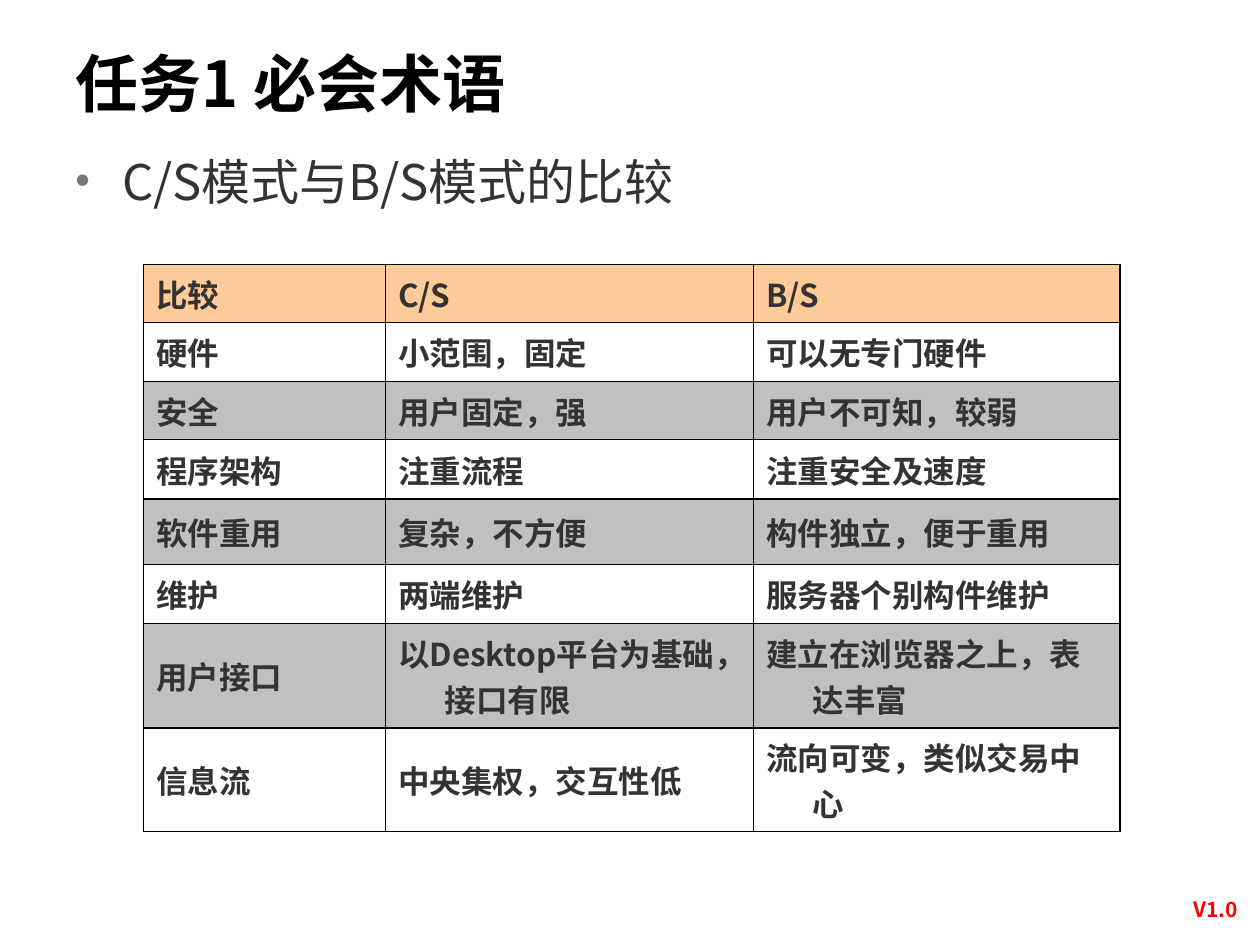
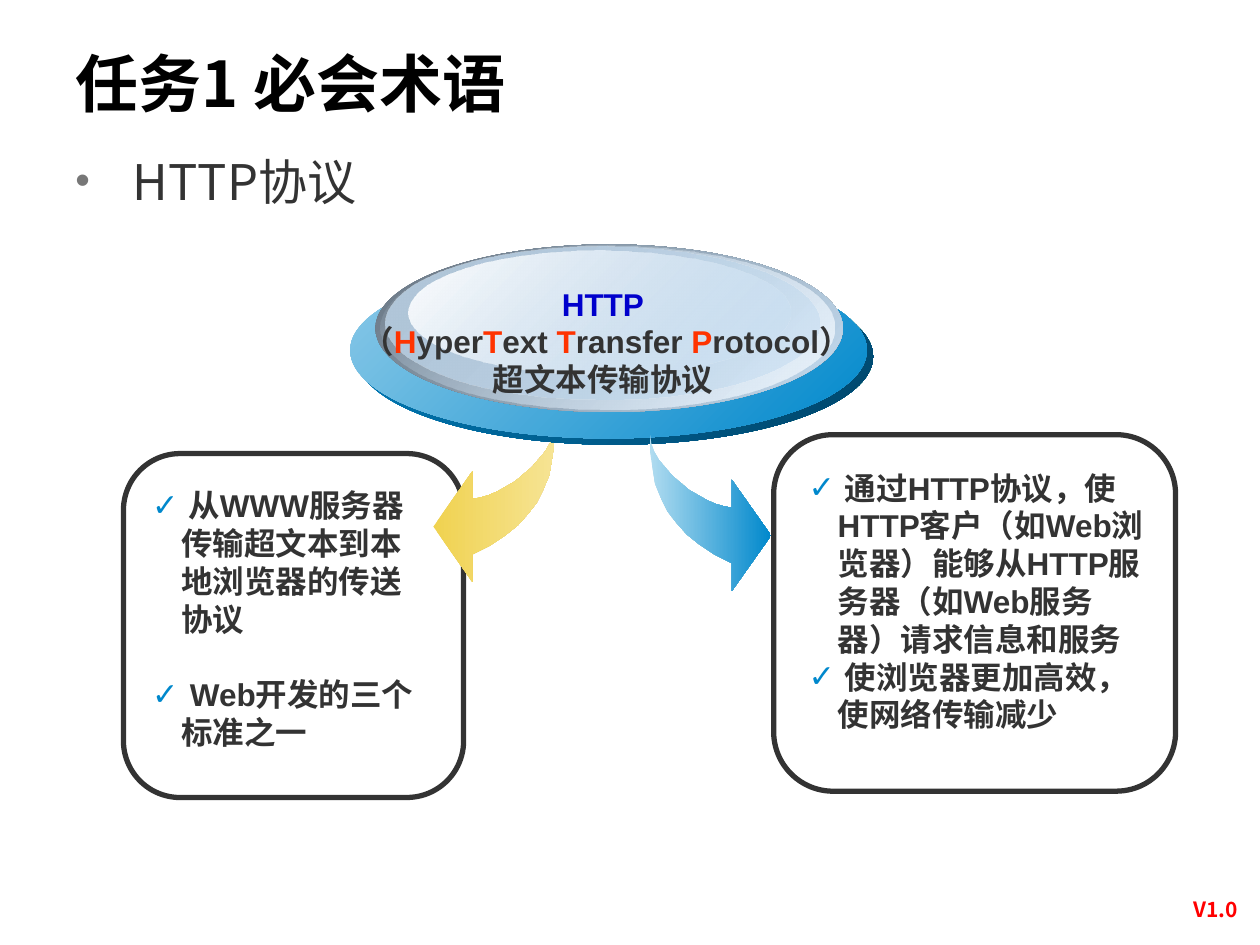
"""Build two slides on web terms: a C/S versus B/S table and an HTTP diagram."""
from lxml.etree import SubElement
from pptx import Presentation
from pptx.dml.color import RGBColor
from pptx.enum.shapes import MSO_SHAPE
from pptx.enum.text import MSO_ANCHOR, MSO_AUTO_SIZE, PP_ALIGN
from pptx.oxml.ns import qn
from pptx.util import Inches, Pt

BLACK = RGBColor(0x00, 0x00, 0x00)
WHITE = RGBColor(0xFF, 0xFF, 0xFF)
INK = RGBColor(0x33, 0x33, 0x33)
GRAY = RGBColor(0x77, 0x77, 0x77)
RED = RGBColor(0xFF, 0x00, 0x00)
ORANGE_RED = RGBColor(0xFF, 0x33, 0x00)
NAVY = RGBColor(0x00, 0x00, 0xCC)
BLUE = RGBColor(0x00, 0x88, 0xCC)
RIM_BLUE = RGBColor(0x00, 0x80, 0xC0)
DEEP_BLUE = RGBColor(0x00, 0x44, 0x68)
SOFT_BLUE = RGBColor(0x8C, 0xCA, 0xE8)
ICE = RGBColor(0xC6, 0xDE, 0xF3)
PALE_ICE = RGBColor(0xED, 0xF4, 0xFB)
STEEL = RGBColor(0x66, 0x73, 0x80)
MIST = RGBColor(0xB3, 0xC9, 0xDC)
TAIL_BLUE = RGBColor(0xB0, 0xDC, 0xF0)
GOLD = RGBColor(0xF0, 0xD2, 0x50)
PALE_GOLD = RGBColor(0xF6, 0xE4, 0x94)
HEADER_FILL = RGBColor(0xFF, 0xCC, 0x99)
BAND_FILL = RGBColor(0xC0, 0xC0, 0xC0)

CJK = "Noto Sans CJK SC"
TITLE_FORMAT = {"name": CJK, "size": Pt(36), "bold": True, "color": BLACK}
TOPIC_FORMAT = {"name": CJK, "size": Pt(28), "bold": False, "color": INK}
CELL_FORMAT = {"name": CJK, "size": Pt(18), "bold": True, "color": INK}
VERSION_FORMAT = {"name": CJK, "size": Pt(12), "bold": True, "color": RED}
CARD_FORMAT = {"name": "Arial", "size": Pt(18), "bold": True, "color": INK}

TITLE = "任务1 必会术语"
VERSION = "V1.0"
TITLE_AREA = (0.5, 0.27, 7.97, 0.77)
TOPIC_AREA = (0.5, 1.15, 8.91, 0.7)
VERSION_AREA = (9.25, 7.07, 0.8, 0.3)
HANGING = (0.37, -0.37)
CARD_INDENT = (0.5, -0.23)

TABLE_ORIGIN = (1.14, 2.1)
COLUMNS = (1.92, 2.92, 2.91)
ROWS = (0.46, 0.47, 0.46, 0.47, 0.52, 0.47, 0.83, 0.82)
COMPARISON = [
    ("比较", "C/S", "B/S"),
    ("硬件", "小范围，固定", "可以无专门硬件"),
    ("安全", "用户固定，强", "用户不可知，较弱"),
    ("程序架构", "注重流程", "注重安全及速度"),
    ("软件重用", "复杂，不方便", "构件独立，便于重用"),
    ("维护", "两端维护", "服务器个别构件维护"),
    ("用户接口", "以Desktop平台为基础，接口有限", "建立在浏览器之上，表达丰富"),
    ("信息流", "中央集权，交互性低", "流向可变，类似交易中心"),
]

LEFT_CARD = {
    "frame": (0.98, 3.6, 2.7, 2.73),
    "text": (0.84, 3.81, 2.66, 2.22),
    "gap": Pt(21.6),
    "points": [" 从WWW服务器传输超文本到本地浏览器的传送协议", " Web开发的三个标准之一"],
    "arrow": (4.4, 3.38, -1),
    "colors": (GOLD, PALE_GOLD),
}
RIGHT_CARD = {
    "frame": (6.14, 3.45, 3.19, 2.83),
    "text": (6.05, 3.67, 3.14, 2.22),
    "gap": Pt(0),
    "points": [
        " 通过HTTP协议，使HTTP客户（如Web浏览器）能够从HTTP服务器（如Web服务器）请求信息和服务",
        " 使浏览器更加高效，使网络传输减少",
    ],
    "arrow": (5.16, 3.45, 1),
    "colors": (TAIL_BLUE, BLUE),
}
ARROW_OUTLINE = [
    (0, 0.14), (0.02, 0.27), (0.04, 0.39), (0.09, 0.51), (0.14, 0.61), (0.21, 0.7),
    (0.29, 0.79), (0.39, 0.87), (0.51, 0.95), (0.65, 1.02), (0.65, 1.24), (0.96, 0.8),
    (0.65, 0.36), (0.65, 0.58), (0.59, 0.57), (0.52, 0.55), (0.45, 0.52), (0.38, 0.48),
    (0.31, 0.44), (0.24, 0.38), (0.18, 0.33), (0.12, 0.26), (0.07, 0.2), (0.03, 0.13),
    (0.01, 0.07),
]
ELLIPSES = [
    ((2.83, 2.13, 4.1, 1.4), (RIM_BLUE, DEEP_BLUE), (100, 100)),
    ((2.78, 2.08, 4.1, 1.4), (SOFT_BLUE, BLUE), (100, 100)),
    ((2.98, 1.94, 3.71, 1.33), (STEEL, ICE), (100, 100)),
    ((3.02, 1.95, 3.6, 1.3), (ICE, PALE_ICE), (0, 100)),
    ((3.06, 1.96, 3.44, 1.21), (MIST, ICE), (100, 48)),
    ((3.24, 1.99, 3.03, 0.98), (WHITE, ICE), (100, 38)),
]
EMBLEM_AREA = (2.21, 2.21, 5.15, 0.91)
EMBLEM_LINES = [
    [("HTTP", NAVY)],
    [(" （", INK), ("H", ORANGE_RED), ("yper", INK), ("T", ORANGE_RED), ("ext ", INK),
     ("T", ORANGE_RED), ("ransfer ", INK), ("P", ORANGE_RED), ("rotocol）", INK)],
    [("超文本传输协议", INK)],
]


def inches(values):
    return [Inches(value) for value in values]


def add_span(para, text, style):
    span = para.add_run()
    span.text = text
    for key, value in style.items():
        if key == "color":
            span.font.color.rgb = value
        else:
            setattr(span.font, key, value)
    SubElement(span.font._element, qn("a:ea"), typeface=CJK)


def indent(para, margin, first):
    properties = para._p.get_or_add_pPr()
    properties.set("marL", str(Inches(margin)))
    properties.set("indent", str(Inches(first)))
    return properties


def add_bullet(para, mark, color, share, margins):
    properties = indent(para, *margins)
    SubElement(SubElement(properties, qn("a:buClr")), qn("a:srgbClr"), val=str(color))
    SubElement(properties, qn("a:buSzPct"), val=str(share * 1000))
    SubElement(properties, qn("a:buFont"), typeface="Arial")
    SubElement(properties, qn("a:buChar"), char=mark)


def add_text_box(page, area):
    frame = page.shapes.add_textbox(*inches(area)).text_frame
    frame.word_wrap = True
    return frame


def add_paragraph(frame, number):
    return frame.add_paragraph() if number else frame.paragraphs[0]


def paint_gradient(shape, colors, angle, opacities=(100, 100)):
    shape.shadow.inherit = False
    shape.line.fill.background()
    shape.fill.gradient()
    shape.fill.gradient_angle = angle
    for stop, color, opacity in zip(shape.fill.gradient_stops, colors, opacities):
        stop.color.rgb = color
        if opacity < 100:
            tone = stop._gs.find(qn("a:srgbClr"))
            SubElement(tone, qn("a:alpha"), val=str(opacity * 1000))


def add_page(deck, topic):
    page = deck.slides.add_slide(deck.slide_layouts[5])
    title = page.shapes.title
    title.left, title.top, title.width, title.height = inches(TITLE_AREA)
    frame = title.text_frame
    frame.auto_size = MSO_AUTO_SIZE.NONE
    frame.vertical_anchor = MSO_ANCHOR.MIDDLE
    frame.paragraphs[0].alignment = PP_ALIGN.LEFT
    add_span(frame.paragraphs[0], TITLE, TITLE_FORMAT)

    para = add_text_box(page, TOPIC_AREA).paragraphs[0]
    add_bullet(para, "•", GRAY, 85, HANGING)
    add_span(para, topic, TOPIC_FORMAT)

    para = add_text_box(page, VERSION_AREA).paragraphs[0]
    para.alignment = PP_ALIGN.CENTER
    add_span(para, VERSION, VERSION_FORMAT)
    return page


def add_borders(cell):
    properties = cell._tc.get_or_add_tcPr()
    for side in ("lnL", "lnR", "lnT", "lnB"):
        line = SubElement(properties, qn(f"a:{side}"), w=str(Pt(1)))
        SubElement(SubElement(line, qn("a:solidFill")), qn("a:srgbClr"), val=str(BLACK))


def fill_cell(cell, text, row):
    cell.vertical_anchor = MSO_ANCHOR.MIDDLE
    add_borders(cell)
    if row % 2:
        cell.fill.background()
    else:
        cell.fill.solid()
        cell.fill.fore_color.rgb = BAND_FILL if row else HEADER_FILL
    para = cell.text_frame.paragraphs[0]
    indent(para, *HANGING)
    add_span(para, text, CELL_FORMAT)


def add_comparison(page):
    area = inches((*TABLE_ORIGIN, sum(COLUMNS), sum(ROWS)))
    table = page.shapes.add_table(len(ROWS), len(COLUMNS), *area).table
    for column, width in zip(table.columns, COLUMNS):
        column.width = Inches(width)
    for number, (row, height) in enumerate(zip(table.rows, ROWS)):
        row.height = Inches(height)
        for cell, text in zip(row.cells, COMPARISON[number]):
            fill_cell(cell, text, number)


def add_arrow(page, tail, colors):
    left, top, direction = tail
    builder = page.shapes.build_freeform(Inches(left), Inches(top))
    outline = [inches((left + direction * x, top + y)) for x, y in ARROW_OUTLINE]
    builder.add_line_segments(outline, close=True)
    paint_gradient(builder.convert_to_shape(), colors, 0)


def add_card(page, card):
    frame = page.shapes.add_shape(MSO_SHAPE.ROUNDED_RECTANGLE, *inches(card["frame"]))
    frame.shadow.inherit = False
    frame.fill.background()
    frame.line.color.rgb = INK
    frame.line.width = Pt(3)
    text_frame = add_text_box(page, card["text"])
    for number, point in enumerate(card["points"]):
        para = add_paragraph(text_frame, number)
        if number:
            para.space_before = card["gap"]
        add_bullet(para, "✓", BLUE, 100, CARD_INDENT)
        add_span(para, point, CARD_FORMAT)
    add_arrow(page, card["arrow"], card["colors"])


def add_emblem(page):
    for area, colors, opacities in ELLIPSES:
        ellipse = page.shapes.add_shape(MSO_SHAPE.OVAL, *inches(area))
        paint_gradient(ellipse, colors, 315, opacities)
    frame = add_text_box(page, EMBLEM_AREA)
    for number, line in enumerate(EMBLEM_LINES):
        para = add_paragraph(frame, number)
        para.alignment = PP_ALIGN.CENTER
        for text, color in line:
            add_span(para, text, {**CARD_FORMAT, "color": color})


def main():
    deck = Presentation()
    deck.slide_width, deck.slide_height = Inches(10), Inches(7.5)
    add_comparison(add_page(deck, "C/S模式与B/S模式的比较"))
    page = add_page(deck, " HTTP协议")
    add_card(page, LEFT_CARD)
    add_emblem(page)
    add_card(page, RIGHT_CARD)
    deck.save("out.pptx")


if __name__ == "__main__":
    main()
